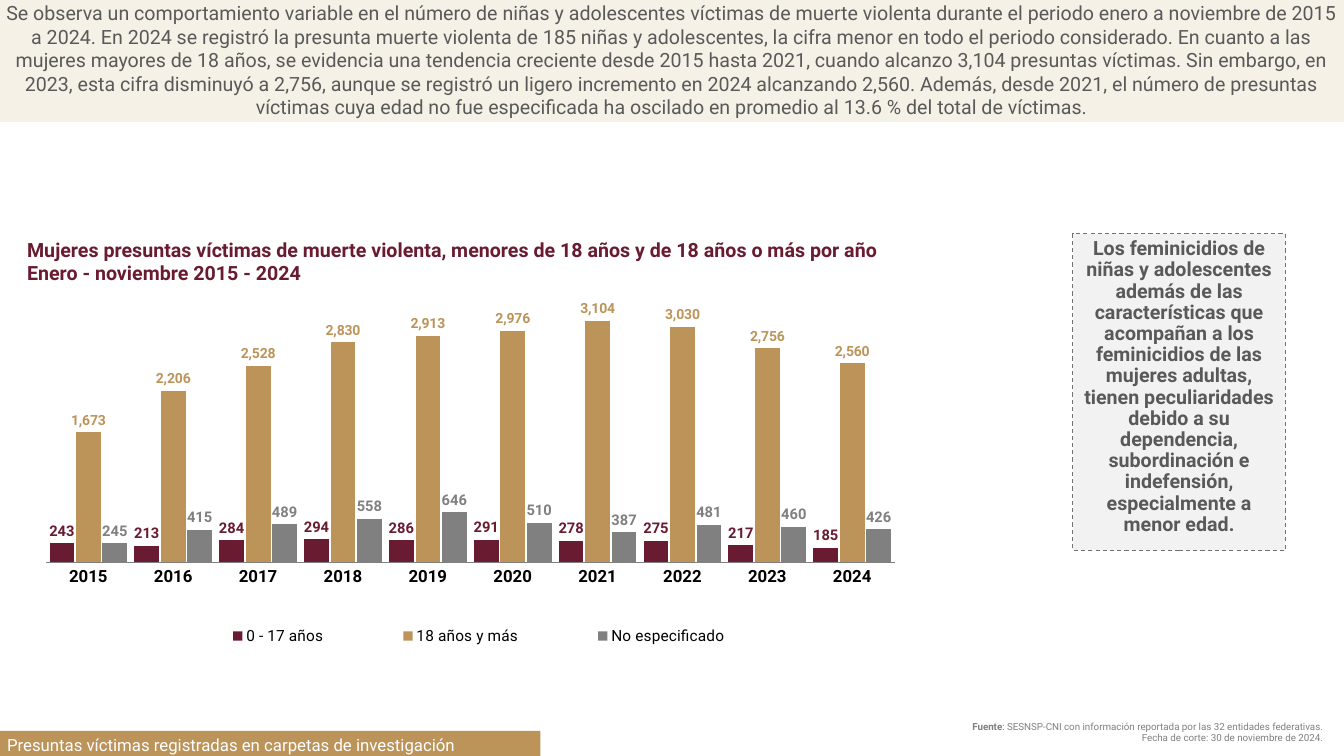
from lxml import etree
from pptx import Presentation
from pptx import util as u
from pptx.chart.data import CategoryChartData
from pptx.dml.color import RGBColor
from pptx.enum import chart as ch
from pptx.enum import dml, shapes, text
from pptx.oxml.ns import qn

COLORS = {"wine": "691B31", "gold": "BC945A", "sand": "DEC9A2", "gray": "808080",
          "ink": "595959", "edge": "767171", "black": "000000", "white": "FFFFFF"}
LEFT, CENTER, RIGHT = text.PP_ALIGN.LEFT, text.PP_ALIGN.CENTER, text.PP_ALIGN.RIGHT
TOP, MIDDLE, BOTTOM = text.MSO_ANCHOR.TOP, text.MSO_ANCHOR.MIDDLE, text.MSO_ANCHOR.BOTTOM


def rgb(name):
    return RGBColor.from_string(COLORS[name])


def apply(target, values):
    for name, value in values.items():
        setattr(target, name, value)


class SlideBuilder:
    def __init__(self, slide, font="Roboto"):
        self.slide = slide
        self.font = font

    def style(self, font, size, color, bold=False):
        apply(font, {"name": self.font, "size": u.Pt(size), "bold": bold})
        font.color.rgb = rgb(color)

    def fill_text(self, frame, paragraphs, size, color, align=LEFT, bold=False, **spacing):
        """Each paragraph is a list of (words, bold) runs or a plain string."""
        for i, runs in enumerate(paragraphs):
            paragraph = frame.paragraphs[0] if i == 0 else frame.add_paragraph()
            apply(paragraph, {"alignment": align, **spacing})
            for words, strong in [(runs, bold)] if isinstance(runs, str) else runs:
                run = paragraph.add_run()
                run.text = words
                self.style(run.font, size, color, strong)

    def frame(self, shape, anchor, margins=(0.1, 0.05)):
        side, edge = map(u.Inches, margins)
        apply(shape.text_frame, {
            "word_wrap": True, "auto_size": text.MSO_AUTO_SIZE.SHAPE_TO_FIT_TEXT,
            "vertical_anchor": anchor, "margin_left": side, "margin_right": side,
            "margin_top": edge, "margin_bottom": edge})
        return shape.text_frame

    def textbox(self, box, paragraphs, **style):
        shape = self.slide.shapes.add_textbox(*map(u.Inches, box))
        self.fill_text(self.frame(shape, TOP), paragraphs, **style)

    def panel(self, box, fill, paragraphs, opacity=100, edge=None, anchor=TOP,
              margins=(0.1, 0.05), **style):
        shape = self.slide.shapes.add_shape(shapes.MSO_SHAPE.RECTANGLE, *map(u.Inches, box))
        shape.shadow.inherit = False
        shape.fill.solid()
        shape.fill.fore_color.rgb = rgb(fill)
        if opacity < 100:
            color = shape.element.spPr.find(qn("a:solidFill")).find(qn("a:srgbClr"))
            etree.SubElement(color, qn("a:alpha")).set("val", str(opacity * 1000))
        if edge:
            shape.line.color.rgb = rgb(edge)
            apply(shape.line, {"width": u.Pt(0.75), "dash_style": dml.MSO_LINE.DASH})
        else:
            shape.line.fill.background()
        self.fill_text(self.frame(shape, anchor, margins), paragraphs, **style)

    def table(self, box, paragraphs, **style):
        table = self.slide.shapes.add_table(1, 1, *map(u.Inches, box)).table
        apply(table, {"first_row": False, "horz_banding": False})
        cell = table.cell(0, 0)
        apply(cell, {"margin_left": 0, "margin_right": 0, "margin_top": 0,
                     "margin_bottom": 0, "vertical_anchor": BOTTOM})
        cell.fill.solid()
        cell.fill.fore_color.rgb = rgb("white")
        self.fill_text(cell.text_frame, paragraphs, **style)

    def layout(self, parent, x, y, w, h, inner=False):
        old = parent.find(qn("c:layout"))
        if old is not None:
            parent.remove(old)
        layout = etree.Element(qn("c:layout"))
        manual = etree.SubElement(layout, qn("c:manualLayout"))
        settings = {"layoutTarget": "inner"} if inner else {}
        settings.update(xMode="edge", yMode="edge", x=x, y=y, w=w, h=h)
        for name, value in settings.items():
            etree.SubElement(manual, qn("c:" + name)).set("val", str(value))
        parent.insert(0 if inner else 1, layout)

    def columns(self, box, categories, series):
        data = CategoryChartData(number_format="#,##0")
        data.categories = categories
        for name, _, _, values in series:
            data.add_series(name, values)
        chart = self.slide.shapes.add_chart(
            ch.XL_CHART_TYPE.COLUMN_CLUSTERED, *map(u.Inches, box), data).chart
        apply(chart, {"has_title": False, "has_legend": True})
        self.style(chart.font, 8, "black")

        # Axes
        years, victims = chart.category_axis, chart.value_axis
        apply(years, {"major_tick_mark": ch.XL_TICK_MARK.NONE, "has_major_gridlines": False})
        self.style(years.tick_labels.font, 12, "black", True)
        years.format.line.color.rgb = rgb("gray")
        apply(victims, {"visible": False, "has_major_gridlines": False, "major_unit": 500,
                        "minimum_scale": 0, "maximum_scale": 3500})

        # Columns and their values
        plot = chart.plots[0]
        apply(plot, {"gap_width": 29, "overlap": -7, "vary_by_categories": False})
        for columns, (_, color, size, _) in zip(plot.series, series):
            columns.format.fill.solid()
            columns.format.fill.fore_color.rgb = rgb(color)
            labels = columns.data_labels
            apply(labels, {"show_value": True, "number_format": "#,##0",
                           "number_format_is_linked": False,
                           "position": ch.XL_LABEL_POSITION.OUTSIDE_END})
            self.style(labels.font, size, color, True)

        # Legend and plot area
        apply(chart.legend, {"position": ch.XL_LEGEND_POSITION.BOTTOM,
                             "include_in_layout": False})
        self.style(chart.legend.font, 11, "black")
        chart_part = plot.series[0]._element.getparent().getparent().getparent()
        self.layout(chart_part.find(qn("c:legend")), 0.14, 0.87, 0.74, 0.09)
        self.layout(chart_part.find(qn("c:plotArea")), 0.01, 0, 0.98, 0.72, inner=True)


def main():
    deck = Presentation()
    apply(deck, {"slide_width": u.Inches(13.33), "slide_height": u.Inches(7.5)})
    page = SlideBuilder(deck.slides.add_slide(deck.slide_layouts[6]))

    # Summary band
    page.panel((0, -0.02, 13.33, 1.23), "sand", [
        "Se observa un comportamiento variable en el número de niñas y adolescentes víctimas "
        "de muerte violenta durante el periodo enero a noviembre de 2015 a 2024. En 2024 se "
        "registró la presunta muerte violenta de 185 niñas y adolescentes, la cifra menor en "
        "todo el periodo considerado. En cuanto a las mujeres mayores de 18 años, se evidencia "
        "una tendencia creciente desde 2015 hasta 2021, cuando alcanzo 3,104 presuntas "
        "víctimas. Sin embargo, en 2023, esta cifra disminuyó a 2,756, aunque se registró un "
        "ligero incremento en 2024 alcanzando 2,560. Además, desde 2021, el número de "
        "presuntas víctimas cuya edad no fue especificada ha oscilado en promedio al 13.6 % "
        "del total de víctimas."],
        opacity=25, margins=(0.06, 0.03), size=14, color="ink", align=CENTER,
        space_after=u.Pt(6))

    # Chart with its heading
    page.textbox((0.17, 2.31, 10.08, 0.57), [
        "Mujeres presuntas víctimas de muerte violenta, menores de 18 años y de 18 años o más "
        "por año", "Enero - noviembre 2015 - 2024"], size=14, color="wine", bold=True)
    page.columns((0.37, 2.88, 8.59, 3.75), [str(year) for year in range(2015, 2025)], [
        ("0 - 17 años", "wine", 10.5, (243, 213, 284, 294, 286, 291, 278, 275, 217, 185)),
        ("18 años y más", "gold", 10,
         (1673, 2206, 2528, 2830, 2913, 2976, 3104, 3030, 2756, 2560)),
        ("No especificado", "gray", 10.5,
         (245, 415, 489, 558, 646, 510, 387, 481, 460, 426))])

    # Side note
    page.panel((10.64, 2.32, 2.11, 3.14), "gray", [
        "Los feminicidios de niñas y adolescentes además de las características que acompañan "
        "a los feminicidios de las mujeres adultas, tienen peculiaridades debido a su "
        "dependencia, subordinación e indefensión, especialmente a menor edad."],
        opacity=10, edge="edge", size=14, color="ink", align=CENTER, bold=True,
        line_spacing=0.9)

    # Footer and source
    page.panel((0, 7.25, 5.36, 0.28), "gold",
               ["Presuntas víctimas registradas en carpetas de investigación"],
               anchor=MIDDLE, margins=(0.07, 0.04), size=12, color="white")
    page.table((8.73, 7.07, 4.39, 0.31), [
        [("Fuente", True),
         (": SESNSP-CNI con información reportada por las 32 entidades federativas.", False)],
        "Fecha de corte: 30 de noviembre de 2024."], size=7, color="gray", align=RIGHT)

    deck.save("out.pptx")


if __name__ == "__main__":
    main()
